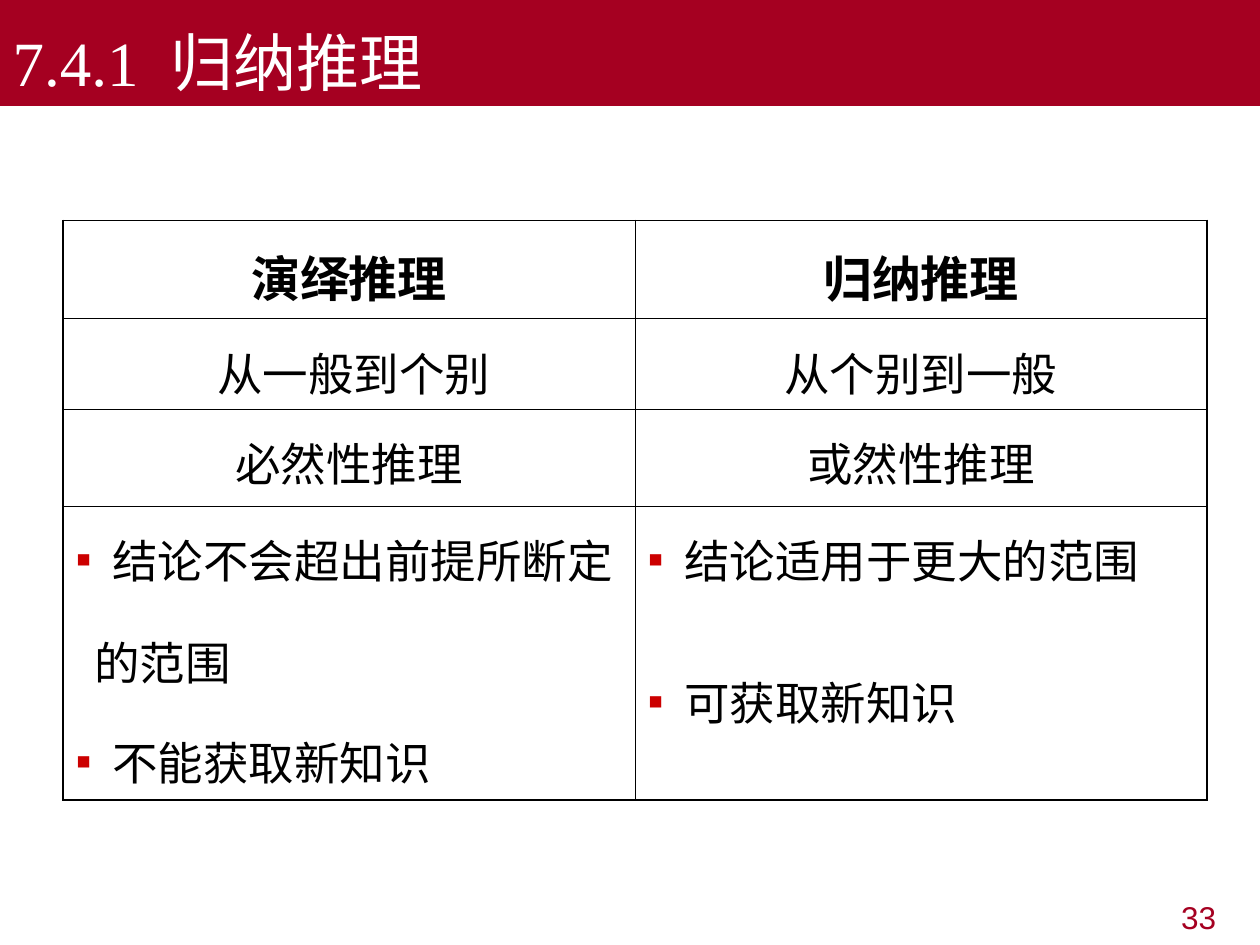
from lxml import etree
from pptx import Presentation
from pptx.dml.color import RGBColor
from pptx.enum.text import MSO_ANCHOR, PP_ALIGN
from pptx.oxml.ns import qn
from pptx.util import Inches, Pt

LEFT, CENTER, RIGHT = PP_ALIGN.LEFT, PP_ALIGN.CENTER, PP_ALIGN.RIGHT
BOTTOM = MSO_ANCHOR.BOTTOM
RED, DOT, BLACK, WHITE = "A50021", "CC0000", "000000", "FFFFFF"
ARIAL, TIMES, NOTO = "Arial", "Times New Roman", "Noto Sans CJK SC"
THICK, THIN = 1.08, 0.45

# Short rows: size, bold, space before, then text and font per column
SHORT = [
    (28, True, 14, [("演绎推理", ARIAL), ("归纳推理", ARIAL)]),
    (26, False, 13, [(" 从一般到个别", ARIAL), ("从个别到一般", NOTO)]),
    (26, False, 12, [("必然性推理", NOTO), ("或然性推理", NOTO)]),
]
# Last row: text, font, bullet, space before
POINTS = [
    [("结论不会超出前提所断定", NOTO, True, 13),
     ("的范围", NOTO, False, 13),
     ("不能获取新知识", NOTO, True, 12)],
    [("结论适用于更大的范围", NOTO, True, 13),
     ("可获取新知识", TIMES, True, 36)],
]


def color(code):
    return RGBColor.from_string(code)


def style(para, size, font, code, bold=False, align=LEFT):
    para.alignment = align
    for run in para.runs:
        run.font.size = Pt(size)
        run.font.name = font
        run.font.bold = bold
        run.font.color.rgb = color(code)
        etree.SubElement(run.font._element, qn("a:ea"), typeface=NOTO)


def space(para, before):
    para.line_spacing = 1.2
    para.space_before = Pt(before)


def indent(para, left, bullet):
    props = para._p.get_or_add_pPr()
    props.set("marL", str(Inches(left)))
    props.set("indent", str(-Inches(left) if bullet else 0))
    if bullet:
        tint = etree.SubElement(props, qn("a:buClr"))
        etree.SubElement(tint, qn("a:srgbClr"), val=DOT)
        etree.SubElement(props, qn("a:buFont"), typeface=ARIAL)
        etree.SubElement(props, qn("a:buChar"), char="▪")


def border(cell, widths):
    props = cell._tc.get_or_add_tcPr()
    for spot, (side, width) in enumerate(zip("LRTB", widths)):
        line = etree.Element(qn("a:ln" + side), w=str(Pt(width)))
        fill = etree.SubElement(line, qn("a:solidFill"))
        etree.SubElement(fill, qn("a:srgbClr"), val=BLACK)
        props.insert(spot, line)


def add_title(slide, text):
    title = slide.shapes.title
    title.left, title.top = Inches(0), Inches(0)
    title.width, title.height = Inches(10), Inches(0.84)
    title.fill.solid()
    title.fill.fore_color.rgb = color(RED)
    frame = title.text_frame
    frame.text = text
    frame.vertical_anchor = BOTTOM
    style(frame.paragraphs[0], 36, TIMES, WHITE)


def add_number(slide, text):
    box = slide.shapes.add_textbox(
        Inches(7.58), Inches(7.08), Inches(2.17), Inches(0.39))
    frame = box.text_frame
    frame.word_wrap = True
    frame.text = text
    style(frame.paragraphs[0], 18, ARIAL, RED, align=RIGHT)


def fill_points(cell, points):
    frame = cell.text_frame
    for i, (text, font, bullet, before) in enumerate(points):
        para = frame.add_paragraph() if i else frame.paragraphs[0]
        para.text = text
        style(para, 26, font, BLACK)
        space(para, before)
        indent(para, 0.29 if bullet else 0.15, bullet)


def add_grid(slide):
    heights = [0.78, 0.72, 0.77, 2.33]
    last = len(heights) - 1
    table = slide.shapes.add_table(
        len(heights), 2, Inches(0.5), Inches(1.75),
        Inches(9.08), Inches(sum(heights))).table
    for row, height in zip(table.rows, heights):
        row.height = Inches(height)

    # Short centred rows
    for r, (size, bold, before, items) in enumerate(SHORT):
        for c, (text, font) in enumerate(items):
            cell = table.cell(r, c)
            cell.text_frame.text = text
            para = cell.text_frame.paragraphs[0]
            style(para, size, font, BLACK, bold, CENTER)
            space(para, before)

    # Bulleted row
    for c, points in enumerate(POINTS):
        fill_points(table.cell(last, c), points)

    # White cells, heavier outer frame
    for r in range(last + 1):
        for c in range(2):
            cell = table.cell(r, c)
            cell.fill.solid()
            cell.fill.fore_color.rgb = color(WHITE)
            outer = (c == 0, c == 1, r == 0, r == last)
            border(cell, [THICK if edge else THIN for edge in outer])


def main():
    deck = Presentation()
    deck.slide_width, deck.slide_height = Inches(10), Inches(7.5)
    slide = deck.slides.add_slide(deck.slide_layouts[5])
    add_number(slide, "33")
    add_title(slide, "7.4.1  归纳推理")
    add_grid(slide)
    deck.save("out.pptx")


if __name__ == "__main__":
    main()
